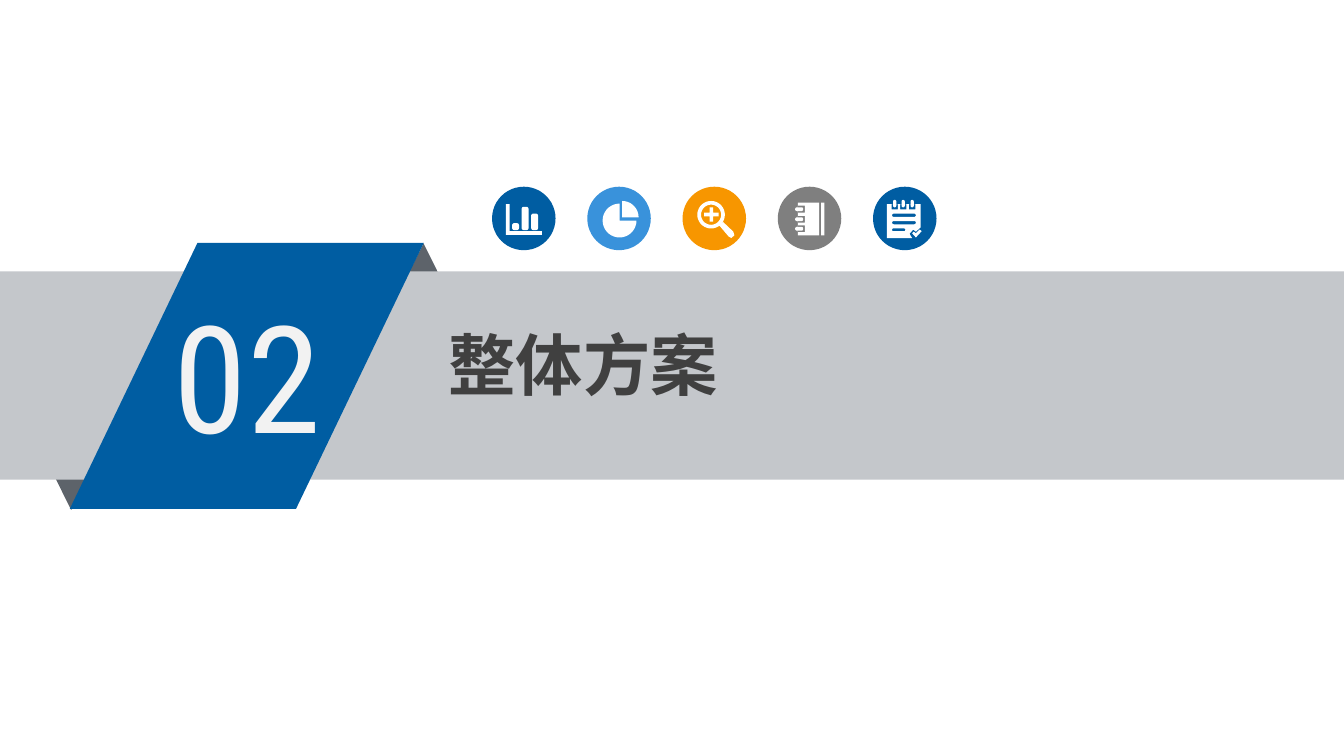
"""Build the section slide: a ribbon with its number, a title and a row of icon badges."""
from dataclasses import dataclass
from math import cos, radians, sin

from lxml.etree import SubElement
from pptx import Presentation
from pptx.dml.color import RGBColor
from pptx.enum.shapes import MSO_SHAPE as Kind
from pptx.enum.text import MSO_ANCHOR as Anchor, MSO_AUTO_SIZE as Fit, PP_ALIGN as Align
from pptx.oxml.ns import qn
from pptx.shapes.autoshape import Shape
from pptx.shapes.shapetree import GroupShapes as Group
from pptx.util import Cm, Pt

BLUE = RGBColor(0x00, 0x5D, 0xA2)
SKY = RGBColor(0x39, 0x92, 0xDB)
ORANGE = RGBColor(0xF7, 0x96, 0x00)
GRAY = RGBColor(0x7F, 0x7F, 0x7F)
SLATE = RGBColor(0x5D, 0x63, 0x6A)
SILVER = RGBColor(0xC4, 0xC7, 0xCB)
WHITE = RGBColor(0xFF, 0xFF, 0xFF)
PALE = RGBColor(0xF2, 0xF2, 0xF2)
DARK = RGBColor(0x40, 0x40, 0x40)

LEFT, TOP, SIZE, STEP = 9.3, 3.53, 1.2, 1.8

Loop = list[tuple[float, float]]


@dataclass
class Part:
    kind: Kind
    left: float
    top: float
    width: float
    height: float
    color: RGBColor
    turn: float = 0


@dataclass
class Badge:
    color: RGBColor
    loops: list[Loop]


def arc(x: float, y: float, r: float, start: int = 0, end: int = 360) -> Loop:
    """Return points along an arc, clockwise in degrees."""
    count = max(3, (end - start) // 10)
    turns = [radians(start + (end - start) * i / count) for i in range(count + 1)]
    return [(x + r * cos(t), y + r * sin(t)) for t in turns]


def box(x: float, y: float, w: float, h: float, r: float = 0) -> Loop:
    """Return the outline of a box with round corners."""
    if not r:
        return [(x, y), (x + w, y), (x + w, y + h), (x, y + h)]
    return (arc(x + r, y + r, r, 180, 270) + arc(x + w - r, y + r, r, 270, 360)
            + arc(x + w - r, y + h - r, r, 0, 90) + arc(x + r, y + h - r, r, 90, 180))


def paint(shape: Shape, color: RGBColor) -> None:
    """Give a shape a flat fill with no line or shadow."""
    shape.shadow.inherit = False
    shape.fill.solid()
    shape.fill.fore_color.rgb = color
    shape.line.fill.background()


def draw(group: Group, part: Part) -> Shape:
    """Add a preset shape."""
    shape = group.add_shape(part.kind, Cm(part.left), Cm(part.top), Cm(part.width), Cm(part.height))
    shape.rotation = part.turn
    paint(shape, part.color)
    return shape


def stamp(group: Group, badge: Badge, left: float) -> None:
    """Add a round badge and its white icon."""
    draw(group, Part(Kind.OVAL, left, TOP, SIZE, SIZE, badge.color))
    loops = [[(Cm(left + x), Cm(TOP + y)) for x, y in loop] for loop in badge.loops]
    first, *rest = loops
    pen = group.build_freeform(*first[0])
    pen.add_line_segments(first[1:])
    for loop in rest:
        pen.move_to(*loop[0])
        pen.add_line_segments(loop[1:])
    paint(pen.convert_to_shape(), WHITE)


def write(shape: Shape, text: str, face: str, size: int, color: RGBColor, bold: bool, inset: float) -> None:
    """Set one line of left-aligned text."""
    frame = shape.text_frame
    frame.text = text
    frame.word_wrap = True
    frame.auto_size = Fit.SHAPE_TO_FIT_TEXT
    frame.vertical_anchor = Anchor.TOP
    frame.margin_left = frame.margin_right = Cm(inset)
    frame.margin_top = frame.margin_bottom = Cm(0.1)
    para = frame.paragraphs[0]
    para.alignment = Align.LEFT
    font = para.font
    font.name, font.size, font.bold = face, Pt(size), bold
    font.color.rgb = color
    for props in shape.element.iter(qn("a:defRPr")):
        SubElement(props, qn("a:ea")).set("typeface", face)


CHART = [box(0.26, 0.33, 0.07, 0.51), box(0.26, 0.84, 0.68, 0.07),
         box(0.38, 0.69, 0.13, 0.13, 0.04), box(0.56, 0.38, 0.13, 0.44, 0.04),
         box(0.74, 0.51, 0.13, 0.31, 0.04)]
PIE = [[(0.66, 0.58)] + arc(0.66, 0.58, 0.31, -90, 0),
       [(0.61, 0.64)] + arc(0.61, 0.64, 0.32, 0, 270)]
LENS = [arc(0.54, 0.53, 0.26), arc(0.54, 0.53, 0.19),
        box(0.41, 0.49, 0.27, 0.07), box(0.51, 0.39, 0.07, 0.1), box(0.51, 0.56, 0.07, 0.1),
        [(0.7, 0.74), (0.77, 0.67), (0.96, 0.85), (0.98, 0.92), (0.92, 0.97), (0.87, 0.94)]]
BOOK = [box(0.82, 0.3, 0.06, 0.62), box(0.38, 0.3, 0.4, 0.62)]
for y in (0.36, 0.55, 0.73):
    BOOK += [box(0.38, y, 0.13, 0.13), box(0.33, y + 0.03, 0.15, 0.07, 0.03)]
NOTES = [[(0.26, 0.33), (0.9, 0.33), (0.9, 0.77), (0.81, 0.85), (0.76, 0.81),
          (0.69, 0.89), (0.74, 0.97), (0.26, 0.97)],
         box(0.36, 0.51, 0.45, 0.06, 0.03), box(0.36, 0.65, 0.45, 0.06, 0.03),
         box(0.36, 0.79, 0.25, 0.05, 0.02),
         [(0.74, 0.88), (0.77, 0.85), (0.81, 0.88), (0.88, 0.81), (0.92, 0.84), (0.81, 0.96)]]
for x in (0.41, 0.57, 0.74):
    NOTES += [box(x - 0.06, 0.33, 0.12, 0.1), box(x - 0.03, 0.25, 0.06, 0.14, 0.03)]

BADGES = [Badge(BLUE, CHART), Badge(SKY, PIE), Badge(ORANGE, LENS), Badge(GRAY, BOOK), Badge(BLUE, NOTES)]
FOLDS = [
    Part(Kind.ISOSCELES_TRIANGLE, 6.86, 4.6, 2.29, 2.31, SLATE),
    Part(Kind.ISOSCELES_TRIANGLE, 0.2, 7.33, 2.29, 2.31, SLATE, 180),
    Part(Kind.RECTANGLE, 0, 5.13, 25.4, 3.94, SILVER),
]
FLAG = Part(Kind.PARALLELOGRAM, 1.32, 4.59, 6.69, 5.03, BLUE)


def main() -> None:
    """Build and save the slide."""
    deck = Presentation()
    deck.slide_width, deck.slide_height = Cm(25.4), Cm(14.29)
    slide = deck.slides.add_slide(deck.slide_layouts[5])

    ribbon = slide.shapes.add_group_shape().shapes
    for fold in FOLDS:
        draw(ribbon, fold)
    draw(ribbon, FLAG).adjustments[0] = 0.48
    label = ribbon.add_textbox(Cm(3.1), Cm(5.28), Cm(3.68), Cm(3.61))
    write(label, "02", "Roboto Condensed", 80, PALE, False, 0.18)

    title = slide.shapes.title
    title.left, title.top, title.width, title.height = Cm(8.28), Cm(6.02), Cm(14.02), Cm(1.73)
    write(title, "整体方案", "Noto Sans CJK SC", 36, DARK, True, 0.2)
    title.element.getparent().append(title.element)

    for i, badge in enumerate(BADGES):
        stamp(slide.shapes.add_group_shape().shapes, badge, LEFT + i * STEP)
    deck.save("out.pptx")


if __name__ == "__main__":
    main()
